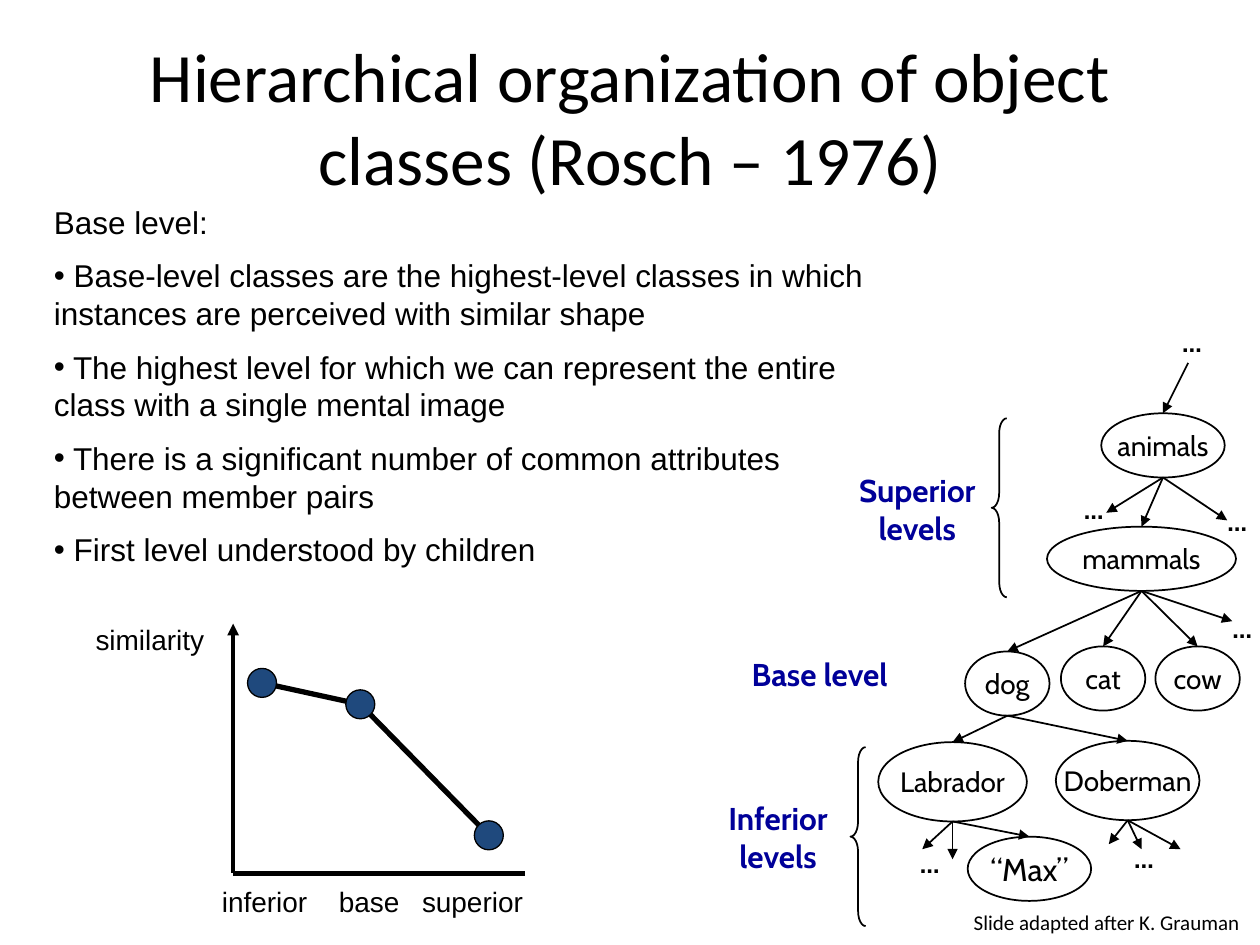
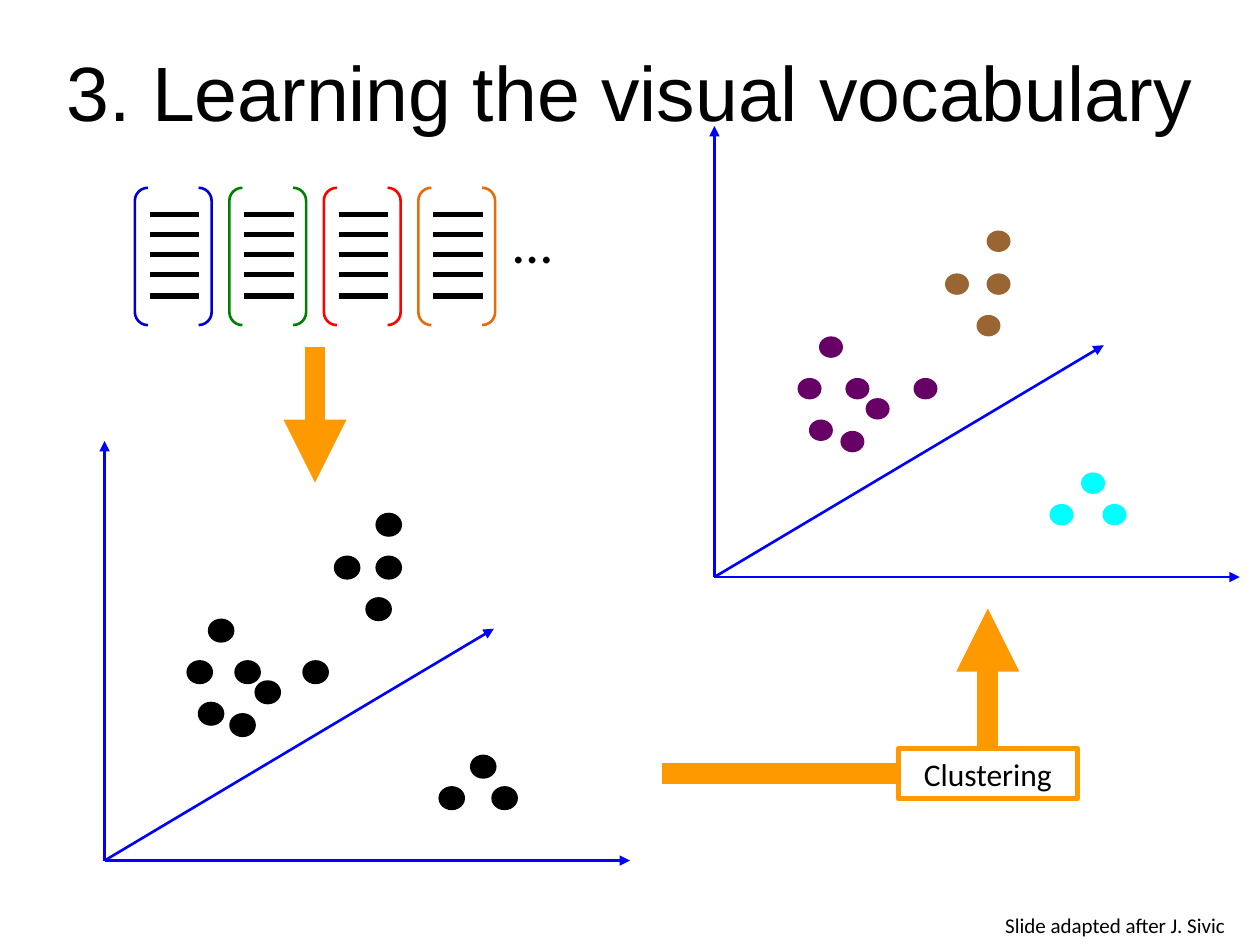
from itertools import pairwise

from lxml.etree import SubElement
from pptx import Presentation
from pptx.dml.color import RGBColor
from pptx.enum.shapes import MSO_CONNECTOR, MSO_SHAPE
from pptx.enum.text import MSO_ANCHOR, PP_ALIGN
from pptx.oxml.ns import qn
from pptx.util import Inches, Pt

SLIDE_WIDTH, SLIDE_HEIGHT = Inches(10), Inches(7.5)
COLUMNS, ROWS = 10, 7.5

BLACK = RGBColor(0x00, 0x00, 0x00)
WHITE = RGBColor(0xFF, 0xFF, 0xFF)
NAVY = RGBColor(0x1F, 0x49, 0x7D)
LEVEL_BLUE = RGBColor(0x00, 0x00, 0x99)
AXIS_BLUE = RGBColor(0x00, 0x00, 0xFF)
FLOW_ORANGE = RGBColor(0xFF, 0x99, 0x00)
PURPLE = RGBColor(0x66, 0x00, 0x66)
BROWN = RGBColor(0x99, 0x66, 0x33)
CYAN = RGBColor(0x00, 0xFF, 0xFF)
DESCRIPTOR_COLORS = [
    RGBColor(0x00, 0x00, 0xCC),
    RGBColor(0x00, 0x80, 0x00),
    RGBColor(0xFF, 0x00, 0x00),
    RGBColor(0xE4, 0x6C, 0x0A),
]

BASE_LEVEL_TRAITS = [
    " Base-level classes are the highest-level classes in which instances are perceived with similar shape",
    " The highest level for which we can represent the entire class with a single mental image",
    " There is a significant number of common attributes between member pairs",
    " First level understood by children",
]
SIMILARITY_POINTS = [(2.08, 5.42), (2.86, 5.59), (3.88, 6.63)]

CLASSES = {
    "animals": (8.74, 3.28, 0.98, 0.51),
    "mammals": (8.31, 4.18, 1.5, 0.51),
    "dog": (7.66, 5.17, 0.67, 0.51),
    "cat": (8.42, 5.13, 0.67, 0.51),
    "cow": (9.17, 5.13, 0.67, 0.51),
    "Labrador": (6.97, 5.89, 1.18, 0.63),
    "Doberman": (8.38, 5.88, 1.14, 0.63),
    "“Max”": (7.68, 6.64, 0.98, 0.51),
}
SUBCLASSES = {
    "animals": ["mammals"],
    "mammals": ["dog", "cat", "cow"],
    "dog": ["Labrador", "Doberman"],
    "Labrador": ["“Max”"],
}
OPEN_BRANCHES = {
    "animals": [(8.78, 4.07), (9.74, 4.13)],
    "mammals": [(9.78, 4.93)],
    "Labrador": [(7.32, 6.74), (7.56, 6.82)],
    "Doberman": [(9.37, 6.74), (9.06, 6.74), (8.8, 6.7)],
}
ELLIPSES = [(9.28, 2.53), (9.68, 4.8), (9.64, 3.95), (8.5, 3.85), (7.2, 6.66), (8.9, 6.62)]

CLUSTERS = [
    (PURPLE, [(1.04, -1.58), (1.2, -1.42), (0.66, -1.58), (1, -1.16),
              (0.75, -1.25), (1.58, -1.58), (0.83, -1.91)]),
    (BROWN, [(2.16, -2.75), (2.08, -2.08), (1.83, -2.41), (2.16, -2.41)]),
    (CYAN, [(3.08, -0.58), (2.91, -0.83), (2.66, -0.58)]),
]


def across(columns):
    return round(SLIDE_WIDTH * columns / COLUMNS)


def down(rows):
    return round(SLIDE_HEIGHT * rows / ROWS)


def place(left, top, width, height):
    return across(left), down(top), across(width), down(height)


def style_text(paragraph, size, font, color=BLACK, bold=False, align=PP_ALIGN.LEFT):
    paragraph.alignment = align
    paragraph.font.size = Pt(size)
    for run in paragraph.runs:
        run.font.size = Pt(size)
        run.font.name = font
        run.font.color.rgb = color
        run.font.bold = bold


def add_text(slide, box, text, size, font, wrap=True, anchor=MSO_ANCHOR.TOP, **style):
    frame = slide.shapes.add_textbox(*place(*box)).text_frame
    frame.word_wrap = wrap
    frame.vertical_anchor = anchor
    frame.text = text
    for paragraph in frame.paragraphs:
        style_text(paragraph, size, font, **style)
    return frame


def add_title(slide, box, text, size, font):
    add_text(slide, box, text, size, font, anchor=MSO_ANCHOR.MIDDLE, align=PP_ALIGN.CENTER)


def add_credit(slide, left, top, author):
    add_text(slide, (left, top, 2.37, 0.3), f"Slide adapted after {author}", 12, "Calibri")


def add_outline(slide, preset, box, fill=None, line=None, weight=1, adjustments=()):
    outline = slide.shapes.add_shape(preset, *place(*box))
    outline.shadow.inherit = False
    if fill is None:
        outline.fill.background()
    else:
        outline.fill.solid()
        outline.fill.fore_color.rgb = fill
    if line is None:
        outline.line.fill.background()
    else:
        outline.line.color.rgb = line
        outline.line.width = Pt(weight)
    for index, share in enumerate(adjustments):
        outline.adjustments[index] = share
    return outline


def add_label(outline, text, size, font):
    frame = outline.text_frame
    frame.word_wrap = False
    frame.margin_left = frame.margin_right = 0
    frame.vertical_anchor = MSO_ANCHOR.MIDDLE
    frame.text = text
    style_text(frame.paragraphs[0], size, font, align=PP_ALIGN.CENTER)


def add_line(slide, start, end, color=BLACK, weight=1, arrow=False):
    line = slide.shapes.add_connector(
        MSO_CONNECTOR.STRAIGHT, across(start[0]), down(start[1]), across(end[0]), down(end[1]))
    line.line.color.rgb = color
    line.line.width = Pt(weight)
    if arrow:
        SubElement(line.line._get_or_add_ln(), qn("a:tailEnd"), type="triangle")
    SubElement(line._element.spPr, qn("a:effectLst"))
    return line


def add_base_level_text(slide):
    frame = add_text(slide, (0.33, 1.56, 6.64, 3.13), "Base level:", 18, "Arial")
    for trait in BASE_LEVEL_TRAITS:
        paragraph = frame.add_paragraph()
        paragraph.text = trait
        paragraph.space_before = Pt(9)
        properties = paragraph._p.get_or_add_pPr()
        properties.set("marL", "0")
        properties.set("indent", "0")
        SubElement(properties, qn("a:buFont"), typeface="Arial")
        SubElement(properties, qn("a:buChar"), char="•")
        style_text(paragraph, 18, "Arial")


def add_similarity_plot(slide):
    origin = (1.85, 6.93)
    add_line(slide, origin, (1.85, 4.95), weight=2.25, arrow=True)
    add_line(slide, origin, (4.17, 6.93), weight=3)
    for start, end in pairwise(SIMILARITY_POINTS):
        add_line(slide, start, end, weight=3)
    dot = 0.23
    for x, y in SIMILARITY_POINTS:
        add_outline(slide, MSO_SHAPE.OVAL, (x - dot / 2, y - dot / 2, dot, dot), NAVY, BLACK, 0.75)
    add_text(slide, (0.66, 4.89, 1.11, 0.37), "similarity", 16, "Arial")
    for center, width, level in [(2.1, 1, "inferior"), (2.93, 0.8, "base"), (3.75, 1.1, "superior")]:
        add_text(slide, (center - width / 2, 6.97, width, 0.37), level, 16, "Arial",
                 wrap=False, align=PP_ALIGN.CENTER)


def add_class_tree(slide):
    nodes = {}
    for name, box in CLASSES.items():
        nodes[name] = add_outline(slide, MSO_SHAPE.OVAL, box, line=BLACK)
        add_label(nodes[name], name, 18 if name == "“Max”" else 16, "Cabin")
    for name, (left, top, width, height) in CLASSES.items():
        foot = (left + width / 2, top + height)
        for child in SUBCLASSES.get(name, []):
            add_line(slide, foot, CLASSES[child][:2], arrow=True).end_connect(nodes[child], 0)
        for tip in OPEN_BRANCHES.get(name, []):
            add_line(slide, foot, tip, arrow=True)
    add_line(slide, (9.43, 2.88), (9.23, 3.28), arrow=True).end_connect(nodes["animals"], 0)
    for left, top in ELLIPSES:
        add_text(slide, (left, top, 0.36, 0.37), "…", 16, "Cabin",
                 wrap=False, bold=True, align=PP_ALIGN.CENTER)


def add_level_names(slide):
    for box, name in [
        ((6.64, 3.69, 1.28, 0.71), "Superior\nlevels"),
        ((5.81, 5.15, 1.39, 0.4), "Base level"),
        ((5.63, 6.29, 1.09, 0.71), "Inferior\nlevels"),
    ]:
        add_text(slide, box, name, 18, "Cabin", wrap=False, color=LEVEL_BLUE,
                 bold=True, align=PP_ALIGN.CENTER)
    for left, top in [(7.87, 3.32), (6.75, 5.93)]:
        add_outline(slide, MSO_SHAPE.LEFT_BRACE, (left, top, 0.12, 1.42),
                    line=BLACK, adjustments=(0.99, 0.5))


def add_feature_space(slide, origin, axis_height, clustered):
    x, y = origin
    for dx, dy in [(0, -axis_height), (4.17, 0), (3.09, -1.84)]:
        add_line(slide, origin, (x + dx, y + dy), AXIS_BLUE, 1.5, arrow=True)
    for color, features in CLUSTERS:
        fill, line = (color, None) if clustered else (BLACK, BLACK)
        for dx, dy in features:
            add_outline(slide, MSO_SHAPE.OVAL, (x + dx, y + dy, 0.19, 0.17), fill, line, 1.5)


def add_descriptor(slide, left, top, color):
    add_outline(slide, MSO_SHAPE.DOUBLE_BRACKET, (left, top, 0.61, 1.09),
                line=color, weight=1.5, adjustments=(0.17,))
    for offset in (0.21, 0.37, 0.53, 0.69, 0.86):
        add_line(slide, (left + 0.12, top + offset), (left + 0.51, top + offset), weight=3)


def add_clustering_flow(slide):
    add_line(slide, (2.5, 2.75), (2.5, 3.83), FLOW_ORANGE, 12, arrow=True)
    step = add_outline(slide, MSO_SHAPE.RECTANGLE, (7.13, 5.94, 1.42, 0.4), WHITE, FLOW_ORANGE, 3)
    add_label(step, "Clustering", 18, "Calibri")
    add_line(slide, (5.25, 6.14), (7.13, 6.14), FLOW_ORANGE, 12).end_connect(step, 1)
    add_line(slide, (7.84, 5.94), (7.84, 4.83), FLOW_ORANGE, 12, arrow=True).begin_connect(step, 0)


def build_hierarchy_slide(slide):
    add_title(slide, (0.5, 0.3, 9, 1.25),
              "Hierarchical organization of object classes (Rosch – 1976)", 39.6, "Calibri")
    add_base_level_text(slide)
    add_similarity_plot(slide)
    add_class_tree(slide)
    add_level_names(slide)
    add_credit(slide, 7.63, 7.17, "K. Grauman")


def build_vocabulary_slide(slide):
    add_feature_space(slide, (0.83, 6.83), 3.33, clustered=False)
    add_feature_space(slide, (5.67, 4.58), 3.58, clustered=True)
    add_clustering_flow(slide)
    for index, color in enumerate(DESCRIPTOR_COLORS):
        add_descriptor(slide, 1.07 + 0.75 * index, 1.49, color)
    add_text(slide, (3.98, 1.6, 0.51, 0.64), "…", 32, "Calibri", wrap=False)
    add_title(slide, (0, 0.26, 10, 0.92), "3. Learning the visual vocabulary", 44, "Arial")
    add_credit(slide, 7.88, 7.19, "J. Sivic")


def main():
    presentation = Presentation()
    presentation.slide_width = SLIDE_WIDTH
    presentation.slide_height = SLIDE_HEIGHT
    blank = presentation.slide_layouts[6]
    for build in (build_hierarchy_slide, build_vocabulary_slide):
        build(presentation.slides.add_slide(blank))
    presentation.save("out.pptx")


if __name__ == "__main__":
    main()
